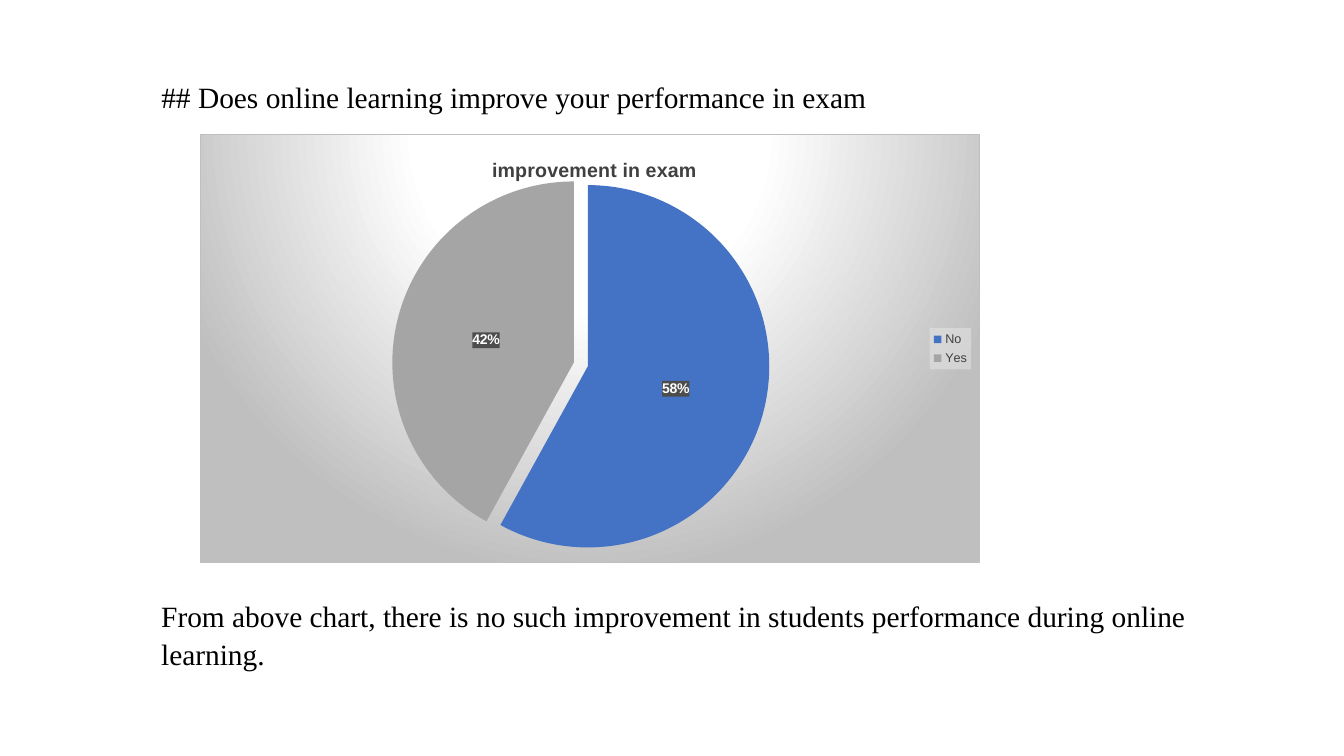
from pptx import Presentation
from pptx.chart.data import CategoryChartData
from pptx.dml.color import RGBColor
from pptx.enum.chart import XL_CHART_TYPE as ChartType
from pptx.enum.chart import XL_LABEL_POSITION as LabelPosition
from pptx.enum.chart import XL_LEGEND_POSITION as LegendPosition
from pptx.enum.text import MSO_ANCHOR as Anchor
from pptx.enum.text import MSO_AUTO_SIZE as AutoSize
from pptx.enum.text import PP_ALIGN as Align
from pptx.oxml import parse_xml
from pptx.oxml.ns import nsdecls, qn
from pptx.util import Inches, Pt

SLICES = [("No", 58, "4472C4"), ("Yes", 42, "A5A5A5")]
GRADIENT_STOPS = [(0, "FFFFFF"), (39, "FFFFFF"), (100, "BFBFBF")]


def color(hex_string):
    return RGBColor.from_string(hex_string)


def format_font(font, size, hex_color, name="Arial", bold=False):
    font.name, font.size, font.bold = name, Pt(size), bold
    font.color.rgb = color(hex_color)


def write_text(shape, text, size=21, spacing=1.0):
    frame = shape.text_frame
    frame.word_wrap = True
    frame.auto_size = AutoSize.NONE
    frame.vertical_anchor = Anchor.TOP
    paragraph = frame.paragraphs[0]
    paragraph.alignment = Align.LEFT
    paragraph.line_spacing = spacing
    run = paragraph.add_run()
    run.text = text
    format_font(run.font, size, "000000", name="Times New Roman")


def solid_fill(hex_color, opacity=100):
    return (f'<a:solidFill><a:srgbClr val="{hex_color}">'
            f'<a:alpha val="{opacity * 1000}"/></a:srgbClr></a:solidFill>')


def radial_fill(stops):
    marks = "".join(f'<a:gs pos="{position * 1000}"><a:srgbClr val="{hex_color}"/></a:gs>'
                    for position, hex_color in stops)
    return (f'<a:gradFill><a:gsLst>{marks}</a:gsLst><a:path path="circle">'
            '<a:fillToRect l="50000" t="-80000" r="50000" b="180000"/>'
            '</a:path></a:gradFill>')


def set_properties(element, fill, line="<a:ln><a:noFill/></a:ln>"):
    """Give a chart part its fill and line, just before its text properties."""
    properties = parse_xml(f'<c:spPr {nsdecls("c", "a")}>{fill}{line}</c:spPr>')
    element.find(qn("c:txPr")).addprevious(properties)


def set_layout(element, index, target="", **fractions):
    """Place a chart part by fractions of the chart's size."""
    for layout in element.findall(qn("c:layout")):
        element.remove(layout)
    parts = f'<c:layoutTarget val="{target}"/>' if target else ""
    parts += "".join(f'<c:{side}Mode val="edge"/>' for side in "xy")
    parts += "".join(f'<c:{key} val="{value}"/>' for key, value in fractions.items())
    element.insert(index, parse_xml(
        f'<c:layout {nsdecls("c")}><c:manualLayout>{parts}</c:manualLayout></c:layout>'))


def add_heading(slide, left, top, width, height):
    title = slide.shapes.title
    title.left, title.top, title.width, title.height = left, top, width, height
    write_text(title, "## Does online learning improve your performance in exam")


def add_conclusion(slide, left, top, width, height):
    box = slide.shapes.add_textbox(left, top, width, height)
    write_text(box, "From above chart, there is no such improvement in students "
                    "performance during online learning.", spacing=1.07)


def add_pie(slide, left, top, width, height):
    data = CategoryChartData()
    data.categories = [name for name, _, _ in SLICES]
    data.add_series("Series 1", [value for _, value, _ in SLICES])
    chart = slide.shapes.add_chart(ChartType.PIE, left, top, width, height, data).chart
    format_font(chart.font, 10, "000000")
    border = f'<a:ln w="9525">{solid_fill("BFBFBF")}</a:ln>'
    set_properties(chart.element, radial_fill(GRADIENT_STOPS), border)

    # Title
    chart.has_title = True
    run = chart.chart_title.text_frame.paragraphs[0].add_run()
    run.text = "improvement in exam"
    format_font(run.font, 14, "404040", bold=True)
    set_layout(chart.element.find(".//" + qn("c:title")), 1, x=0.37, y=0.045)

    # Slices, with the last one pulled out
    plot = chart.plots[0]
    plot.vary_by_categories = True
    set_layout(chart.element.find(".//" + qn("c:plotArea")), 0, "inner",
               x=0.05, y=0.118, w=0.895, h=0.846)
    series = plot.series[0]
    for index, (_, _, hex_color) in enumerate(SLICES):
        slice_format = series.points[index].format
        slice_format.fill.solid()
        slice_format.fill.fore_color.rgb = color(hex_color)
        slice_format.line.fill.background()
    last_slice = chart.element.findall(".//" + qn("c:dPt"))[-1]
    last_slice.find(qn("c:spPr")).addprevious(
        parse_xml(f'<c:explosion {nsdecls("c")} val="8"/>'))

    # Percent labels
    labels = series.data_labels
    labels.show_percentage, labels.show_value = True, False
    labels.number_format, labels.number_format_is_linked = "0%", False
    labels.position = LabelPosition.CENTER
    format_font(labels.font, 10, "FFFFFF", bold=True)
    set_properties(chart.element.find(".//" + qn("c:dLbls")), solid_fill("4D4D4D"))

    # Legend
    chart.has_legend = True
    chart.legend.position = LegendPosition.RIGHT
    chart.legend.include_in_layout = False
    format_font(chart.legend.font, 9, "404040")
    set_properties(chart.element.find(".//" + qn("c:legend")), solid_fill("F2F2F2", 39))


def main():
    presentation = Presentation()
    presentation.slide_width, presentation.slide_height = Inches(13.33), Inches(7.5)
    slide = presentation.slides.add_slide(presentation.slide_layouts[5])
    text_left, text_width = Inches(1.5), Inches(10.55)
    add_heading(slide, text_left, Inches(0.73), text_width, Inches(0.45))
    add_pie(slide, Inches(1.98), Inches(1.33), Inches(7.74), Inches(4.26))
    add_conclusion(slide, text_left, Inches(5.86), text_width, Inches(0.85))
    presentation.save("out.pptx")


if __name__ == "__main__":
    main()
